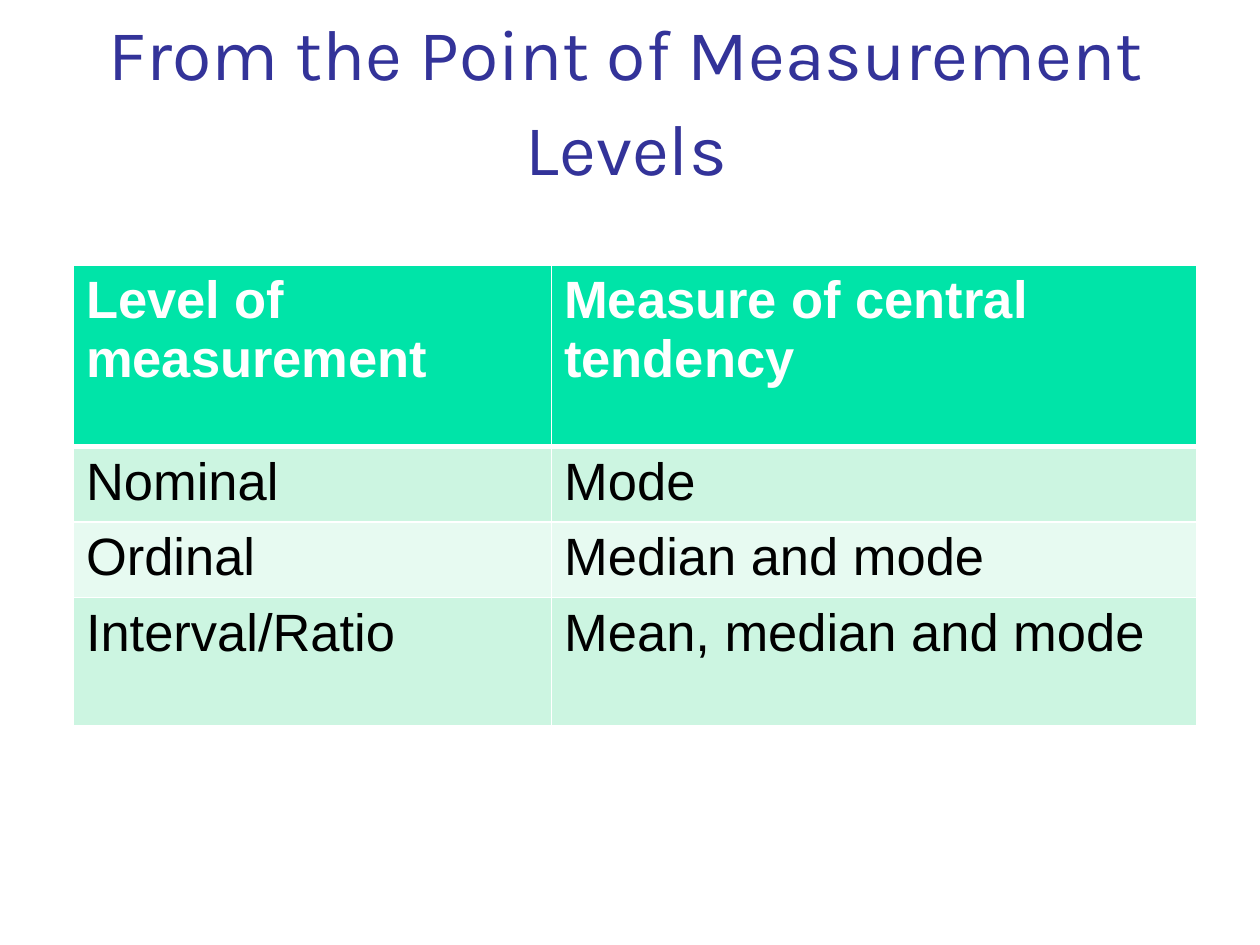
import dataclasses
import typing

import pptx
import pptx.dml.color
import pptx.enum.text
import pptx.oxml
import pptx.oxml.ns
import pptx.util
from pptx.util import Cm

COLORS = {
    "title": "333399",
    "white": "FFFFFF",
    "black": "000000",
    "header": "00E4A8",
    "band_dark": "CCF5E1",
    "band_light": "E7FAF1",
}
COL_WIDTHS = (9.64, 13.01)
THIN, THICK = 1, 3


@dataclasses.dataclass(frozen=True)
class LevelRow:
    cells: tuple[str, str]
    height: float
    fill: str
    color: str = "black"
    bold: bool = False
    top: int = THIN
    bottom: int = THIN


ROWS = (
    LevelRow(("Level of measurement", "Measure of central tendency"), 3.66,
             "header", "white", True, bottom=THICK),
    LevelRow(("Nominal", "Mode"), 1.52, "band_dark", top=THICK),
    LevelRow(("Ordinal", "Median and mode"), 1.52, "band_light"),
    LevelRow(("Interval/Ratio", "Mean, median and mode"), 2.6, "band_dark"),
)


def rgb(name: str) -> pptx.dml.color.RGBColor:
    return pptx.dml.color.RGBColor.from_string(COLORS[name])


def set_run(p: typing.Any, text: str, color: str, **font: typing.Any) -> None:
    r = p.add_run()
    r.text = text
    for name, value in font.items():
        setattr(r.font, name, value)
    r.font.color.rgb = rgb(color)


def add_borders(cell: typing.Any, row: LevelRow) -> None:
    tc_pr = cell._tc.get_or_add_tcPr()
    widths = {"L": THIN, "R": THIN, "T": row.top, "B": row.bottom}
    for side, width in widths.items():
        tc_pr.append(pptx.oxml.parse_xml(
            f'<a:ln{side} {pptx.oxml.ns.nsdecls("a")} w="{pptx.util.Pt(width)}">'
            f'<a:solidFill><a:srgbClr val="{COLORS["white"]}"/></a:solidFill>'
            f'</a:ln{side}>'))


def add_title(s: typing.Any, text: str) -> None:
    sp = s.shapes.title
    box = {"left": 0.5, "top": 0.43, "width": 24.26, "height": 2.97}
    for name, value in box.items():
        setattr(sp, name, Cm(value))
    tf = sp.text_frame
    tf.word_wrap = True
    tf.auto_size = pptx.enum.text.MSO_AUTO_SIZE.NONE
    tf.vertical_anchor = pptx.enum.text.MSO_ANCHOR.MIDDLE
    p = tf.paragraphs[0]
    p.alignment = pptx.enum.text.PP_ALIGN.CENTER
    p.line_spacing = 1.1
    set_run(p, text, "title", name="Karla", size=pptx.util.Pt(41))


def add_level_table(s: typing.Any, rows: typing.Sequence[LevelRow]) -> None:
    table = s.shapes.add_table(
        len(rows), len(COL_WIDTHS), Cm(1.48), Cm(5.34),
        Cm(sum(COL_WIDTHS)), Cm(sum(row.height for row in rows))).table
    for column, width in zip(table.columns, COL_WIDTHS):
        column.width = Cm(width)
    for table_row, row in zip(table.rows, rows):
        table_row.height = Cm(row.height)
        for cell, text in zip(table_row.cells, row.cells):
            add_borders(cell, row)
            cell.fill.solid()
            cell.fill.fore_color.rgb = rgb(row.fill)
            set_run(cell.text_frame.paragraphs[0], text, row.color,
                    name="Arial", size=pptx.util.Pt(30), bold=row.bold)


def main() -> None:
    prs = pptx.Presentation()
    prs.slide_width, prs.slide_height = Cm(25.4), Cm(19.05)
    s = prs.slides.add_slide(prs.slide_layouts.get_by_name("Title Only"))
    add_title(s, "From the Point of Measurement Levels")
    add_level_table(s, ROWS)
    prs.save("out.pptx")


if __name__ == "__main__":
    main()
